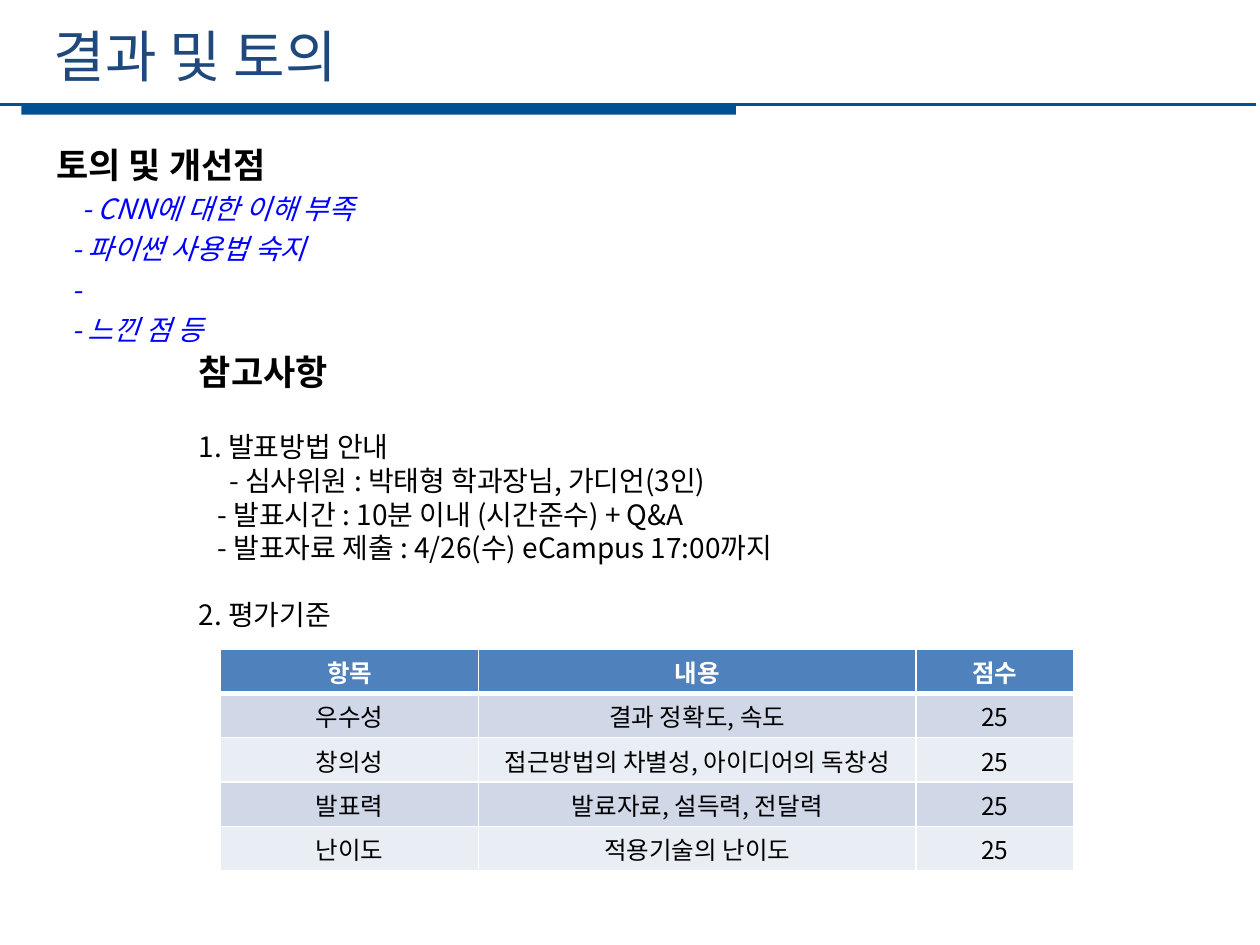
from lxml import etree
from pptx import Presentation
from pptx.dml.color import RGBColor
from pptx.enum.shapes import MSO_CONNECTOR, MSO_SHAPE
from pptx.enum.text import MSO_ANCHOR, PP_ALIGN
from pptx.oxml.ns import qn
from pptx.util import Inches, Pt

FONT = "Noto Sans CJK KR"
COLORS = {
    "rule": "005094", "title": "1F497D", "point": "0000FF", "text": "000000",
    "white": "FFFFFF", "header": "4F81BD", "odd": "D0D8E8", "even": "E9EDF4",
}


def color(name):
    return RGBColor.from_string(COLORS[name])


def add_span(para, text, size, color_name="text", bold=False, italic=False):
    span = para.add_run()
    span.text = text
    font = span.font
    font.name, font.size = FONT, Pt(size)
    font.bold, font.italic = bold, italic
    font.color.rgb = color(color_name)
    east_asian = etree.SubElement(font._element, qn("a:ea"))
    east_asian.set("typeface", FONT)


def add_text_frame(page, left, top, width, height):
    box = page.shapes.add_textbox(Inches(left), Inches(top), Inches(width), Inches(height))
    box.text_frame.word_wrap = True
    return box.text_frame


def add_line(frame, text, size, spacing, indent=0, before=0, **style):
    """Fill the first paragraph if it is unused, else add one."""
    first = frame.paragraphs[0]
    para = frame.add_paragraph() if first.runs else first
    para.line_spacing = Pt(spacing)
    para.space_before = Pt(before)
    if indent:
        para._p.get_or_add_pPr().set("marL", str(Inches(indent)))
    add_span(para, text, size, **style)


def add_title(page, left, top, width, height):
    frame = add_text_frame(page, left, top, width, height)
    frame.margin_top = frame.margin_bottom = 0
    frame.vertical_anchor = MSO_ANCHOR.MIDDLE
    add_span(frame.paragraphs[0], "결과 및 토의", 32, "title")


def add_title_rule(page, left, top, width, height):
    bar = page.shapes.add_shape(
        MSO_SHAPE.RECTANGLE, Inches(left), Inches(top), Inches(width), Inches(height))
    bar.shadow.inherit = False
    bar.fill.solid()
    bar.fill.fore_color.rgb = color("rule")
    bar.line.fill.background()
    rule = page.shapes.add_connector(
        MSO_CONNECTOR.STRAIGHT, Inches(-0.03), Inches(top), Inches(9.97), Inches(top))
    rule.line.color.rgb = color("rule")
    rule.line.width = Pt(1.25)
    etree.SubElement(rule._element.spPr, qn("a:effectLst"))


def add_discussion(page, left, top, width, height):
    frame = add_text_frame(page, left, top, width, height)
    add_line(frame, "토의 및 개선점", 20, 23, bold=True)
    points = [("- CNN에 대한 이해 부족", 0.2), ("- 파이썬 사용법 숙지", 0.12),
              ("-", 0.12), ("- 느낀 점 등", 0.12)]
    for text, indent in points:
        add_line(frame, text, 16, 23, indent, color_name="point", italic=True)


def add_notice(page, left, top, width, height):
    frame = add_text_frame(page, left, top, width, height)
    add_line(frame, "참고사항", 20, 24, bold=True)
    lines = [
        ("1. 발표방법 안내", 0, 21.6),
        ("- 심사위원 : 박태형 학과장님, 가디언(3인)", 0.24, 0),
        ("- 발표시간 : 10분 이내 (시간준수) + Q&A", 0.15, 0),
        ("- 발표자료 제출 : 4/26(수) eCampus 17:00까지", 0.15, 0),
        ("2. 평가기준", 0, 19.2),
    ]
    for text, indent, before in lines:
        add_line(frame, text, 16, 19.2, indent, before)


def set_borders(cell, bottom_width):
    properties = cell._tc.get_or_add_tcPr()
    widths = {"a:lnL": 1, "a:lnR": 1, "a:lnT": 1, "a:lnB": bottom_width}
    for position, (tag, width) in enumerate(widths.items()):
        border = etree.Element(qn(tag), w=str(Pt(width)))
        fill = etree.SubElement(border, qn("a:solidFill"))
        etree.SubElement(fill, qn("a:srgbClr"), val=COLORS["white"])
        properties.insert(position, border)


def add_criteria_table(page, left, top, width, height):
    rows = [
        ("항목", "내용", "점수"),
        ("우수성", "결과 정확도, 속도", "25"),
        ("창의성", "접근방법의 차별성, 아이디어의 독창성", "25"),
        ("발표력", "발료자료, 설득력, 전달력", "25"),
        ("난이도", "적용기술의 난이도", "25"),
    ]
    table = page.shapes.add_table(
        len(rows), 3, Inches(left), Inches(top), Inches(width), Inches(height)).table
    for column, column_width in zip(table.columns, (2.05, 3.47, 1.25)):
        column.width = Inches(column_width)
    for row_index, row in enumerate(rows):
        is_header = row_index == 0
        fill_name = "header" if is_header else ("odd" if row_index % 2 else "even")
        for column_index, text in enumerate(row):
            cell = table.cell(row_index, column_index)
            cell.fill.solid()
            cell.fill.fore_color.rgb = color(fill_name)
            cell.vertical_anchor = MSO_ANCHOR.MIDDLE
            cell.margin_left = cell.margin_right = cell.margin_top = Inches(0.01)
            cell.margin_bottom = 0
            para = cell.text_frame.paragraphs[0]
            para.alignment = PP_ALIGN.CENTER
            add_span(para, text, 14, "white" if is_header else "text", bold=is_header)
            set_borders(cell, 3 if is_header else 1)


def main():
    deck = Presentation()
    deck.slide_width, deck.slide_height = Inches(10), Inches(7.5)
    page = deck.slides.add_slide(deck.slide_layouts[6])
    add_title_rule(page, 0.17, 0.83, 5.67, 0.08)
    add_title(page, 0.33, 0.12, 8.96, 0.64)
    add_discussion(page, 0.35, 1.1, 9.52, 1.68)
    add_notice(page, 1.48, 2.73, 7.24, 2.42)
    add_criteria_table(page, 1.75, 5.15, 6.77, 1.76)
    deck.save("out.pptx")


if __name__ == "__main__":
    main()
